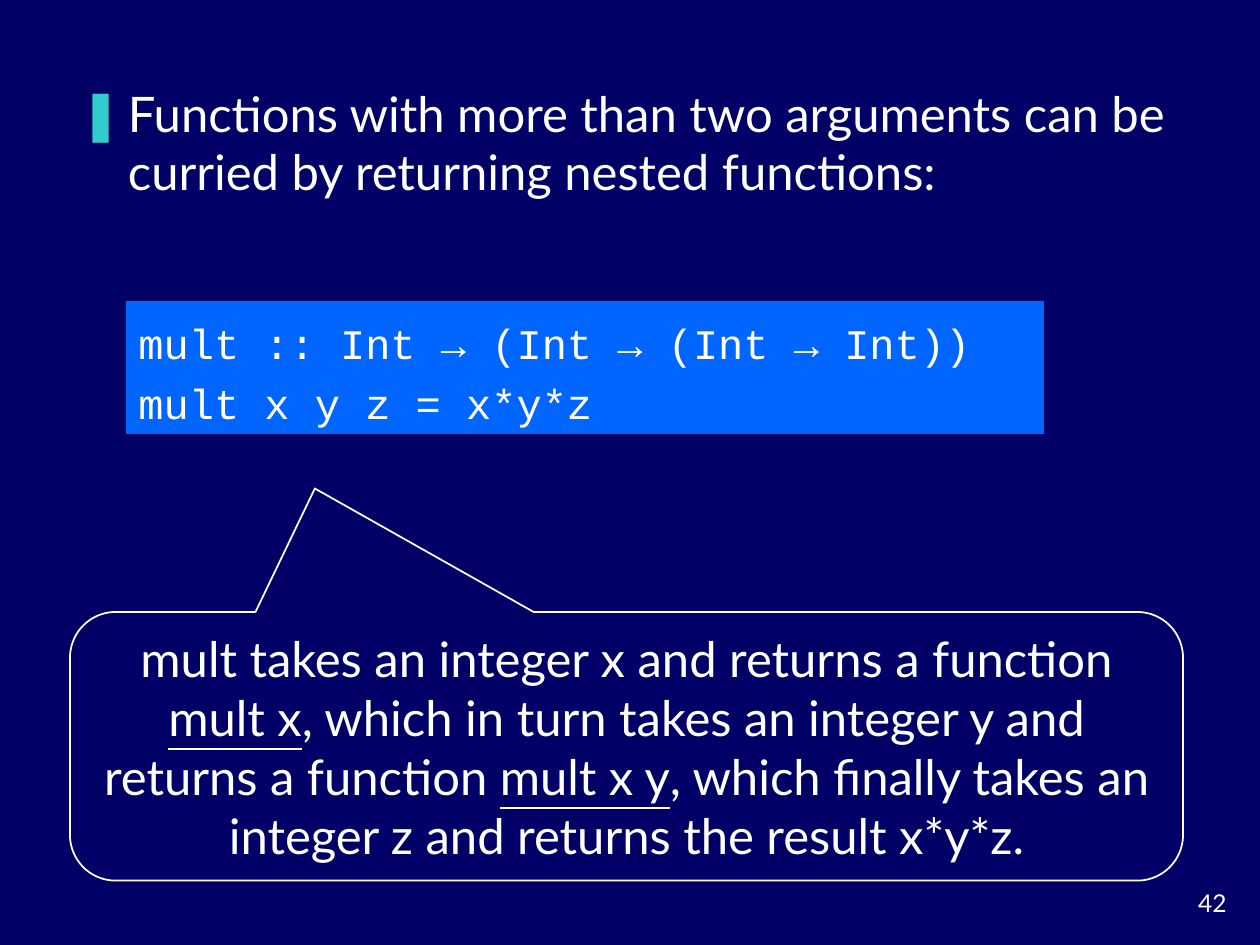
import pptx
import pptx.dml.color
import pptx.enum.shapes
import pptx.enum.text
import pptx.oxml
import pptx.oxml.ns
import pptx.util

Pt = pptx.util.Pt
ALIGN = pptx.enum.text.PP_ALIGN
ANCHOR = pptx.enum.text.MSO_ANCHOR
SHAPE = pptx.enum.shapes.MSO_SHAPE

NAVY, BLUE, TEAL, WHITE = "000066", "0066FF", "33CCCC", "FFFFFF"
BODY = {"name": "Lato", "size": Pt(28)}
CODE = {"name": "Courier New", "size": Pt(24)}
NUMBER = {"name": "Lato", "size": Pt(14)}


def color(value):
    return pptx.dml.color.RGBColor.from_string(value)


def apply_format(target, values):
    for name, value in values.items():
        setattr(target, name, value)


def place(box, left, top, width, height):
    apply_format(box, {"left": Pt(left), "top": Pt(top),
                       "width": Pt(width), "height": Pt(height)})


def write_paragraph(para, spans, font, layout):
    """Fill a paragraph from (text, underlined) pairs."""
    apply_format(para, {"space_before": Pt(0), **layout})
    for text, underlined in spans:
        span = para.add_run()
        span.text = text
        apply_format(span.font, {**font, "underline": underlined})
        span.font.color.rgb = color(WHITE)


def prepare_frame(box, anchor):
    frame = box.text_frame
    apply_format(frame, {"word_wrap": True, "vertical_anchor": anchor,
                         "auto_size": pptx.enum.text.MSO_AUTO_SIZE.NONE})
    return frame


def add_bullet(para, symbol, bullet_color, indent):
    properties = para._p.get_or_add_pPr()
    properties.set("marL", str(Pt(indent)))
    properties.set("indent", str(-Pt(indent)))
    namespace = pptx.oxml.ns.nsdecls("a")
    for xml in (
        f'<a:buClr {namespace}><a:srgbClr val="{bullet_color}"/></a:buClr>',
        f'<a:buFont {namespace} typeface="Lato"/>',
        f'<a:buChar {namespace} char="{symbol}"/>',
    ):
        properties.append(pptx.oxml.parse_xml(xml))


def add_statement(page, text):
    box = page.placeholders[1]
    place(box, 38.9, 43.9, 648.7, 79.2)
    para = prepare_frame(box, ANCHOR.TOP).paragraphs[0]
    add_bullet(para, "❚", TEAL, 27)
    write_paragraph(para, [(text, False)], BODY, {"alignment": ALIGN.LEFT})


def add_panel(page, kind, bounds, fill=None, line=None):
    panel = page.shapes.add_shape(kind, *map(Pt, bounds))
    panel.shadow.inherit = False
    if fill:
        panel.fill.solid()
        panel.fill.fore_color.rgb = color(fill)
    else:
        panel.fill.background()
    if line:
        panel.line.color.rgb = color(line)
        panel.line.width = Pt(1)
    else:
        panel.line.fill.background()
    return panel


def add_code(page, lines):
    panel = add_panel(page, SHAPE.RECTANGLE, (72, 172, 524.5, 76), fill=BLUE)
    frame = prepare_frame(panel, ANCHOR.MIDDLE)
    for index, text in enumerate(lines):
        para = frame.add_paragraph() if index else frame.paragraphs[0]
        write_paragraph(para, [(text, False)], CODE,
                        {"alignment": ALIGN.LEFT, "line_spacing": 1.2})


def add_callout(page, spans):
    panel = add_panel(page, SHAPE.ROUNDED_RECTANGULAR_CALLOUT,
                      (40, 349.7, 636, 153.5), line=WHITE)
    # Pointer tip, then corner radius
    for index, value in enumerate((-0.28, -0.96, 0.17)):
        panel.adjustments[index] = value
    para = prepare_frame(panel, ANCHOR.MIDDLE).paragraphs[0]
    write_paragraph(para, spans, BODY, {"alignment": ALIGN.CENTER})


def add_page_number(page, text):
    box = page.shapes.add_textbox(Pt(660), Pt(504), Pt(48), Pt(24))
    para = prepare_frame(box, ANCHOR.TOP).paragraphs[0]
    write_paragraph(para, [(text, False)], NUMBER, {"alignment": ALIGN.RIGHT})


def main():
    deck = pptx.Presentation()
    apply_format(deck, {"slide_width": Pt(720), "slide_height": Pt(540)})
    page = deck.slides.add_slide(deck.slide_layouts[1])
    page.background.fill.solid()
    page.background.fill.fore_color.rgb = color(NAVY)

    # This page has no title
    title = page.shapes.title.element
    title.getparent().remove(title)

    add_page_number(page, "42")
    add_statement(page, "Functions with more than two arguments can be "
                        "curried by returning nested functions:")
    add_code(page, ["mult :: Int → (Int → (Int → Int))",
                    "mult x y z = x*y*z"])
    add_callout(page, [
        ("mult takes an integer x and returns a function ", False),
        ("mult x", True),
        (", which in turn takes an integer y and returns a function ", False),
        ("mult x y", True),
        (", which finally takes an integer z and returns the result x*y*z.",
         False),
    ])
    deck.save("out.pptx")


if __name__ == "__main__":
    main()
